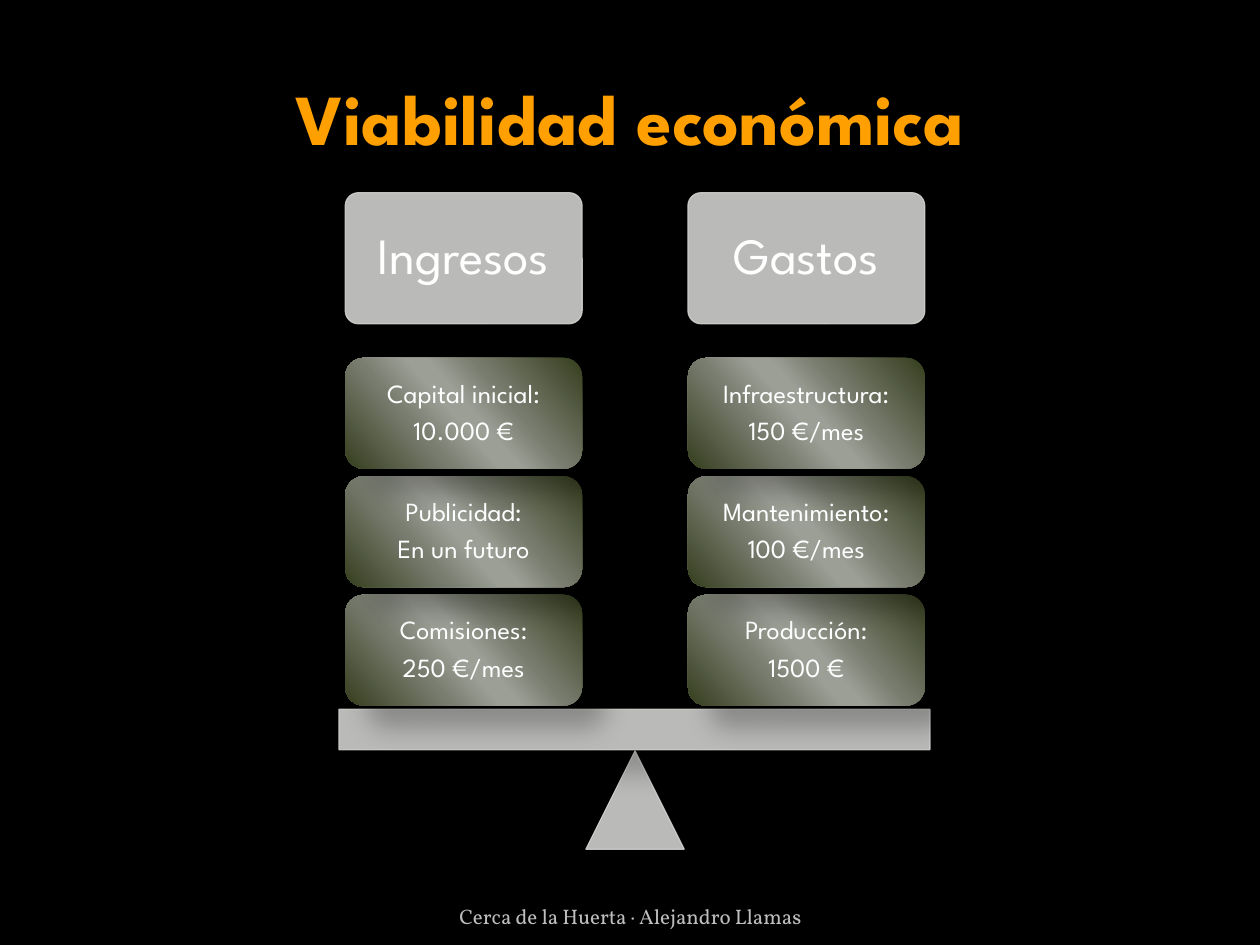
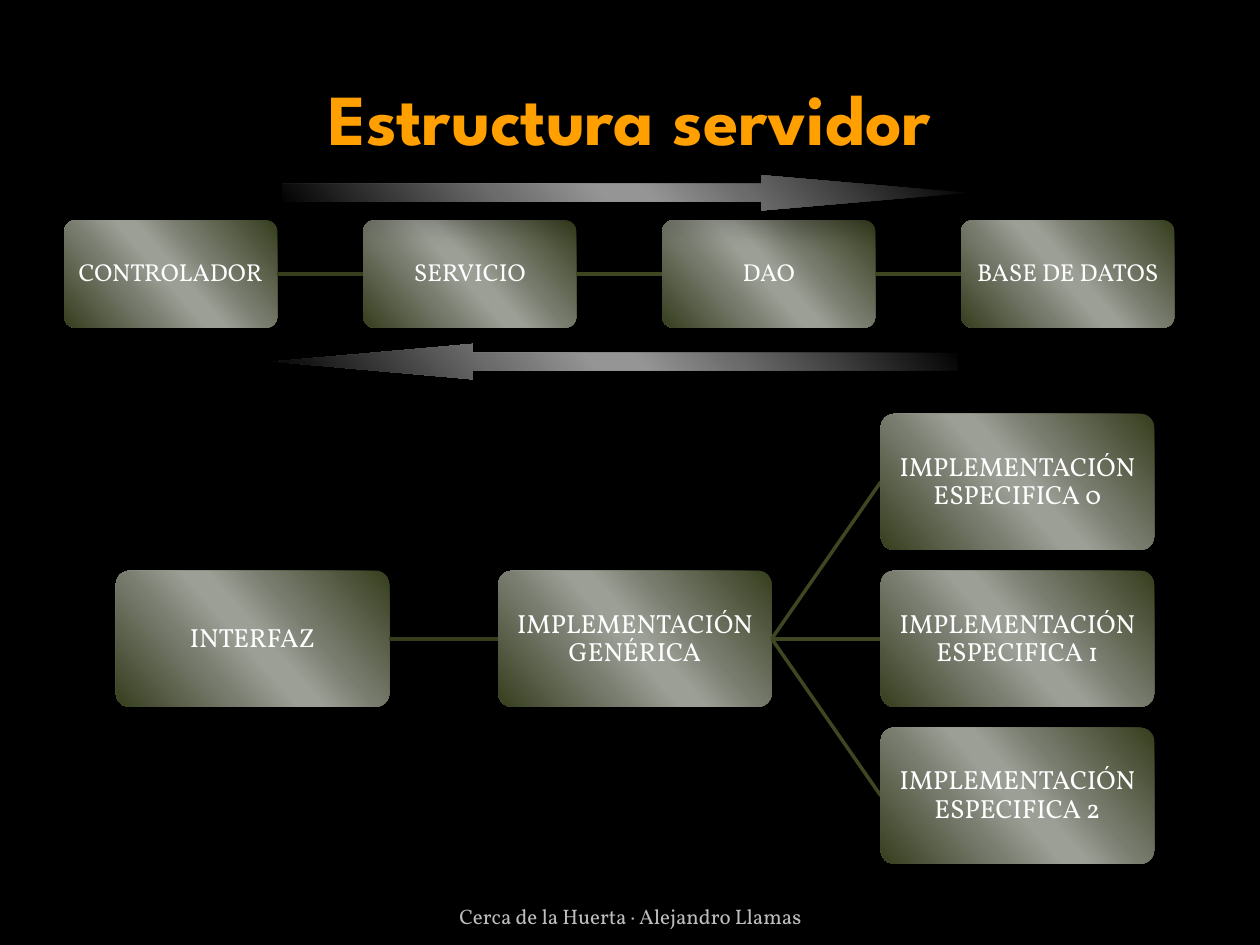
from lxml import etree
from pptx import Presentation
from pptx.dml.color import RGBColor
from pptx.enum.shapes import MSO_CONNECTOR, MSO_SHAPE
from pptx.enum.text import MSO_ANCHOR, PP_ALIGN
from pptx.oxml import parse_xml
from pptx.oxml.ns import nsdecls, qn
from pptx.util import Inches, Pt

ROUNDED, RECTANGLE = MSO_SHAPE.ROUNDED_RECTANGLE, MSO_SHAPE.RECTANGLE
TRIANGLE = MSO_SHAPE.ISOSCELES_TRIANGLE
RIGHT_ARROW, LEFT_ARROW = MSO_SHAPE.RIGHT_ARROW, MSO_SHAPE.LEFT_ARROW
STRAIGHT = MSO_CONNECTOR.STRAIGHT
MIDDLE, BOTTOM = MSO_ANCHOR.MIDDLE, MSO_ANCHOR.BOTTOM
CENTER = PP_ALIGN.CENTER

BLACK = RGBColor(0x00, 0x00, 0x00)
WHITE = RGBColor(0xFF, 0xFF, 0xFF)
ORANGE = RGBColor(0xFF, 0xA0, 0x00)
GREY = RGBColor(0xBD, 0xBD, 0xBD)
SILVER = RGBColor(0xCF, 0xD0, 0xCD)
OLIVE = RGBColor(0x3E, 0x46, 0x22)
DARK_OLIVE = RGBColor(0x36, 0x3E, 0x1E)
OLIVE_LIGHT = RGBColor(0x9C, 0x9F, 0x96)
OLIVE_SHEEN = [DARK_OLIVE, RGBColor(0x78, 0x7C, 0x6E), OLIVE_LIGHT,
               OLIVE_LIGHT, RGBColor(0x79, 0x7D, 0x70), DARK_OLIVE]
GREY_LIGHT = RGBColor(0x95, 0x95, 0x95)
GREY_SHEEN = [BLACK, RGBColor(0x6B, 0x6B, 0x6B), GREY_LIGHT,
              GREY_LIGHT, RGBColor(0x6C, 0x6C, 0x6C), BLACK]
SHEEN_STOPS = [0, 33, 47, 53, 68, 100]
SANS, SERIF = "League Spartan", "Vollkorn"

SLIDE_SIZE = (10, 7.5)
FOOTER = "Cerca de la Huerta · Alejandro Llamas"

BALANCE_TITLE = "Viabilidad económica"
BALANCE = [
    ("Ingresos", [("Capital inicial:", "10.000 €"),
                  ("Publicidad:", "En un futuro"),
                  ("Comisiones:", "250 €/mes")]),
    ("Gastos", [("Infraestructura:", "150 €/mes"),
                ("Mantenimiento:", "100 €/mes"),
                ("Producción:", "1500 €")]),
]
PAN_LEFT, PAN_PITCH, PAN_WIDTH = 2.74, 2.72, 1.88
HEADING_TOP, HEADING_HEIGHT = 1.53, 1.04
WEIGHT_TOP, WEIGHT_PITCH, WEIGHT_HEIGHT = 2.84, 0.94, 0.88
FULCRUM = (4.65, 5.96, 0.78, 0.78)
BEAM = (2.69, 5.63, 4.69, 0.32)

SERVER_TITLE = "Estructura servidor"
LAYERS = ["CONTROLADOR", "SERVICIO", "DAO", "BASE DE DATOS"]
LAYER_LEFT, LAYER_TOP, LAYER_PITCH = 0.51, 1.75, 2.373
LAYER_SIZE = (1.69, 0.85)
ARROWS = [(RIGHT_ARROW, (2.24, 1.39, 5.43, 0.28), 5.81),
          (LEFT_ARROW, (2.17, 2.73, 5.43, 0.28), 5.64)]
TREE = [["INTERFAZ"],
        ["IMPLEMENTACIÓN GENÉRICA"],
        [f"IMPLEMENTACIÓN ESPECIFICA {number}" for number in range(3)]]
TREE_LEFT, TREE_MIDDLE = 0.92, 5.07
TREE_COLUMN, TREE_ROW = 3.035, 1.245
NODE_SIZE = (2.17, 1.08)


def inches(values):
    return [Inches(value) for value in values]


def write(frame, lines, size, font, color, bold=False, anchor=MIDDLE):
    frame.word_wrap = True
    frame.vertical_anchor = anchor
    for index, line in enumerate(lines):
        para = frame.paragraphs[0] if index == 0 else frame.add_paragraph()
        para.alignment = CENTER
        span = para.add_run()
        span.text = line
        span.font.size = Pt(size)
        span.font.name = font
        span.font.bold = bold
        span.font.color.rgb = color


def set_margins(frame, margin):
    frame.margin_left = frame.margin_right = Inches(margin)
    frame.margin_top = frame.margin_bottom = Inches(margin)


def add_shadow(shape):
    shape.shadow.inherit = False
    effects = shape._element.spPr.find(qn("a:effectLst"))
    effects.append(parse_xml(
        f'<a:outerShdw {nsdecls("a")} blurRad="{Pt(15)}" dist="{Pt(18)}" '
        f'dir="2700000" rotWithShape="0"><a:srgbClr val="{BLACK}">'
        '<a:alpha val="26000"/></a:srgbClr></a:outerShdw>'))


def add_silver(page, kind, bounds):
    shape = page.shapes.add_shape(kind, *inches(bounds))
    shape.fill.solid()
    shape.fill.fore_color.rgb = SILVER
    shape.line.color.rgb = SILVER
    shape.line.width = Pt(0.75)
    for color in shape._element.spPr.iter(qn("a:srgbClr")):
        etree.SubElement(color, qn("a:alpha")).set("val", "90000")
    add_shadow(shape)
    return shape


def add_sheen(page, kind, bounds, colors):
    shape = page.shapes.add_shape(kind, *inches(bounds))
    shape.line.fill.background()
    stops = "".join(
        f'<a:gs pos="{stop * 1000}"><a:srgbClr val="{color}"/></a:gs>'
        for stop, color in zip(SHEEN_STOPS, colors))
    shape._element.spPr.find(qn("a:ln")).addprevious(parse_xml(
        f'<a:gradFill {nsdecls("a")} rotWithShape="1"><a:gsLst>{stops}</a:gsLst>'
        f'<a:lin ang="{139 * 60000}" scaled="0"/></a:gradFill>'))
    add_shadow(shape)
    return shape


def label(shape, lines, size, font, margin):
    frame = shape.text_frame
    write(frame, lines, size, font, WHITE)
    set_margins(frame, margin)
    for para in frame.paragraphs:
        para.line_spacing = 0.9
        para._p.get_or_add_pPr().find(qn("a:lnSpc")).addnext(parse_xml(
            f'<a:spcAft {nsdecls("a")}><a:spcPct val="35000"/></a:spcAft>'))


def add_node(page, text, bounds, size):
    box = add_sheen(page, ROUNDED, bounds, OLIVE_SHEEN)
    box.adjustments[0] = 0.1
    label(box, [text], size, SERIF, 0.01)


def add_link(page, start, end, color):
    link = page.shapes.add_connector(STRAIGHT, *inches(start + end))
    link.line.color.rgb = color
    link.line.width = Pt(2)
    etree.SubElement(link._element.spPr, qn("a:effectLst"))


def add_page(deck, heading):
    page = deck.slides.add_slide(deck.slide_layouts[5])
    title = page.shapes.title
    title.left, title.top, title.width, title.height = inches((0.5, 0.3, 9, 1.25))
    write(title.text_frame, [heading], 41, SANS, ORANGE, bold=True)
    footer = page.shapes.add_textbox(*inches((3.42, 7.02, 3.17, 0.4)))
    write(footer.text_frame, [FOOTER], 12, SERIF, GREY, anchor=BOTTOM)
    return page


def build_balance(deck):
    page = add_page(deck, BALANCE_TITLE)
    add_silver(page, TRIANGLE, FULCRUM)
    add_silver(page, RECTANGLE, BEAM)
    for column, (heading, weights) in enumerate(BALANCE):
        left = PAN_LEFT + column * PAN_PITCH
        box = add_silver(page, ROUNDED,
                         (left, HEADING_TOP, PAN_WIDTH, HEADING_HEIGHT))
        box.adjustments[0] = 0.1
        label(box, [heading], 29, SANS, 0.12)
        for row, lines in reversed(list(enumerate(weights))):
            top = WEIGHT_TOP + row * WEIGHT_PITCH
            weight = add_sheen(page, ROUNDED,
                               (left, top, PAN_WIDTH, WEIGHT_HEIGHT), OLIVE_SHEEN)
            label(weight, lines, 15, SANS, 0.06)


def build_layers(page):
    width, height = LAYER_SIZE
    middle = LAYER_TOP + height / 2
    for column, name in enumerate(LAYERS):
        left = LAYER_LEFT + column * LAYER_PITCH
        if column:
            add_link(page, (left - LAYER_PITCH + width, middle), (left, middle),
                     DARK_OLIVE if column == 1 else OLIVE)
        add_node(page, name, (left, LAYER_TOP, width, height), 14)
    for kind, bounds, head in ARROWS:
        arrow = add_sheen(page, kind, bounds, GREY_SHEEN)
        arrow.adjustments[0] = 0.5
        arrow.adjustments[1] = head


def build_tree(page):
    width, height = NODE_SIZE
    for column, names in enumerate(TREE):
        left = TREE_LEFT + column * TREE_COLUMN
        for row, name in enumerate(names):
            middle = TREE_MIDDLE + (row - (len(names) - 1) / 2) * TREE_ROW
            if column:
                add_link(page, (left - TREE_COLUMN + width, TREE_MIDDLE),
                         (left, middle), DARK_OLIVE if column == 1 else OLIVE)
            add_node(page, name, (left, middle - height / 2, width, height), 15)


def main():
    deck = Presentation()
    deck.slide_width, deck.slide_height = inches(SLIDE_SIZE)
    background = deck.slide_master.background.fill
    background.solid()
    background.fore_color.rgb = BLACK
    build_balance(deck)
    page = add_page(deck, SERVER_TITLE)
    build_layers(page)
    build_tree(page)
    deck.save("out.pptx")


if __name__ == "__main__":
    main()
